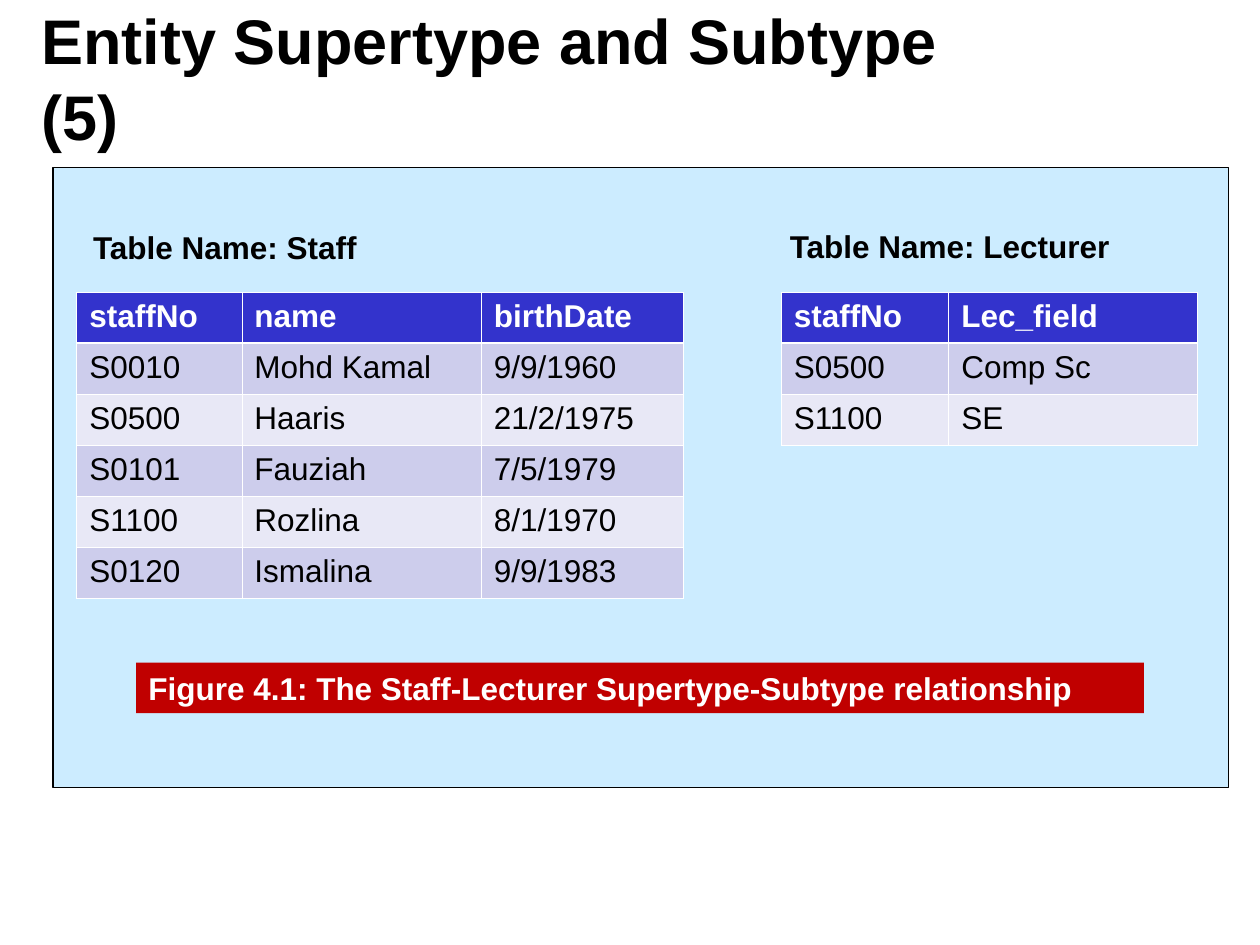
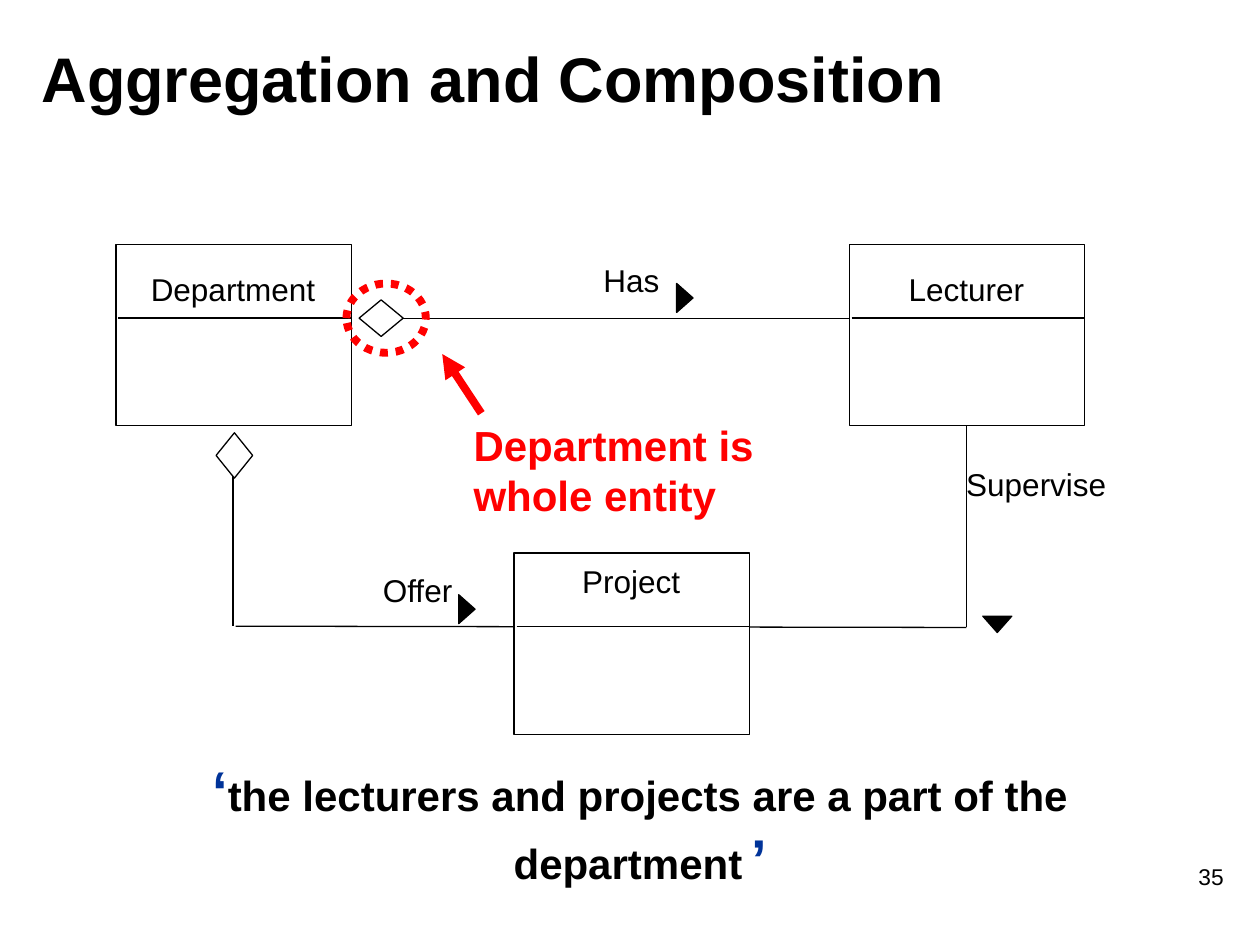
"""Build two slides on entity supertypes and on aggregation."""
import pptx
import pptx.dml.color
import pptx.enum.dml
import pptx.enum.shapes
import pptx.enum.text
import pptx.oxml
import pptx.oxml.ns
import pptx.util

Inches = pptx.util.Inches
Pt = pptx.util.Pt
RGBColor = pptx.dml.color.RGBColor
SHAPE = pptx.enum.shapes.MSO_SHAPE
ALIGN = pptx.enum.text.PP_ALIGN
ANCHOR = pptx.enum.text.MSO_ANCHOR

FONT = "Arial"
BLACK = RGBColor(0x00, 0x00, 0x00)
WHITE = RGBColor(0xFF, 0xFF, 0xFF)
SKY = RGBColor(0xCC, 0xEC, 0xFF)
BRICK = RGBColor(0xC0, 0x00, 0x00)
RED = RGBColor(0xFF, 0x00, 0x00)
NAVY = RGBColor(0x00, 0x33, 0x99)
HEADER = RGBColor(0x33, 0x33, 0xCC)
BANDS = (RGBColor(0xCD, 0xCD, 0xEC), RGBColor(0xE8, 0xE8, 0xF6))

TITLE_BOX = (0.23, 0.15, 8.03, 0.93)
ROW_HEIGHT = 0.405
TABLE_TOP = 2.32
TABLES = [
    {"caption": "Table Name: Staff", "caption_box": (0.64, 1.76, 4.75, 0.4),
     "left": 0.61, "widths": (1.31, 1.9, 1.6),
     "rows": [("staffNo", "name", "birthDate"),
              ("S0010", "Mohd Kamal", "9/9/1960"),
              ("S0500", "Haaris", "21/2/1975"),
              ("S0101", "Fauziah", "7/5/1979"),
              ("S1100", "Rozlina", "8/1/1970"),
              ("S0120", "Ismalina", "9/9/1983")]},
    {"caption": "Table Name: Lecturer", "caption_box": (6.17, 1.75, 3.33, 0.4),
     "left": 6.2, "widths": (1.33, 1.97),
     "rows": [("staffNo", "Lec_field"), ("S0500", "Comp Sc"), ("S1100", "SE")]},
]
FIGURE = "Figure 4.1: The Staff-Lecturer Supertype-Subtype relationship"

ENTITY_SIZE = (1.87, 1.44)
DIVIDER_DROP = 0.585
ENTITIES = [("Department", 0.92, 1.94, 0.15), ("Lecturer", 6.74, 1.94, 0.15),
            ("Project", 4.08, 4.39, 0.02)]
RELATION_LABELS = [("Supervise", (7.57, 3.64, 1.35, 0.36)), ("Has", (4.69, 2.02, 0.87, 0.52)),
                   ("Offer", (2.94, 4.48, 0.81, 0.45))]
RELATION_LINES = [((7.67, 3.13), (7.67, 4.98)), ((1.87, 4.97), (7.67, 4.98)),
                  ((3.16, 2.53), (6.82, 2.53)), ((1.85, 3.68), (1.85, 4.97))]
DIRECTION_MARKS = [((7.8, 4.89, 0.23, 0.13), 180), ((3.59, 4.77, 0.23, 0.13), 90),
                   ((5.32, 2.3, 0.23, 0.13), 90)]
DIAMONDS = [((2.85, 2.38, 0.35, 0.29), 0), ((1.68, 3.47, 0.36, 0.29), 90)]
QUOTE = [("‘", 32, NAVY, True), ("the lecturers and projects are a part of the department", 24, BLACK, True),
         (" ", 18, BLACK, False), ("’", 32, NAVY, True)]


def inches(values):
    return [Inches(v) for v in values]


def style(font, size, color, bold=False):
    font.name, font.size, font.bold = FONT, Pt(size), bold
    font.color.rgb = color


def write(tf, text, size=18, color=BLACK, bold=False, align=ALIGN.LEFT, anchor=ANCHOR.TOP):
    tf.word_wrap = True
    tf.vertical_anchor = anchor
    p = tf.paragraphs[0]
    p.text, p.alignment = text, align
    style(p.font, size, color, bold)


def add_title_slide(prs, title):
    s = prs.slides.add_slide(prs.slide_layouts[5])
    sp = s.shapes.title
    sp.left, sp.top, sp.width, sp.height = inches(TITLE_BOX)
    write(sp.text_frame, title, 36, BLACK, True, anchor=ANCHOR.MIDDLE)
    sp.text_frame.auto_size = pptx.enum.text.MSO_AUTO_SIZE.NONE
    return s


def add_box(s, box, fill=None, line=None, weight=0.75, kind=SHAPE.RECTANGLE, rotation=0):
    sp = s.shapes.add_shape(kind, *inches(box))
    sp.shadow.inherit = False
    sp.rotation = rotation
    for part, color in ((sp.fill, fill), (sp.line.fill, line)):
        if color is None:
            part.background()
        else:
            part.solid()
            part.fore_color.rgb = color
    if line is not None:
        sp.line.width = Pt(weight)
    return sp


def add_text(s, box, text, **look):
    sp = s.shapes.add_textbox(*inches(box))
    write(sp.text_frame, text, **look)
    return sp


def add_line(s, start, end, color=BLACK, weight=0.75):
    cx = s.shapes.add_connector(pptx.enum.shapes.MSO_CONNECTOR.STRAIGHT, *inches(start + end))
    cx.line.color.rgb = color
    cx.line.width = Pt(weight)
    pptx.oxml.ns.qn("a:effectLst")
    cx._element.spPr.append(pptx.oxml.parse_xml(
        f"<a:effectLst {pptx.oxml.ns.nsdecls('a')}/>"))
    return cx


def border_cell(cell, row):
    heavy, thin = 1.47, 0.45
    weights = {"L": thin, "R": thin, "T": heavy if row == 1 else thin, "B": heavy if row == 0 else thin}
    for side, weight in weights.items():
        cell._tc.get_or_add_tcPr().append(pptx.oxml.parse_xml(
            f'<a:ln{side} {pptx.oxml.ns.nsdecls("a")} w="{int(Pt(weight))}">'
            f'<a:solidFill><a:srgbClr val="{WHITE}"/></a:solidFill></a:ln{side}>'))


def add_data_table(s, left, widths, rows):
    box = (left, TABLE_TOP, sum(widths), ROW_HEIGHT * len(rows))
    table = s.shapes.add_table(len(rows), len(widths), *inches(box)).table
    for column, width in zip(table.columns, widths):
        column.width = Inches(width)
    for i, row in enumerate(rows):
        for j, text in enumerate(row):
            cell = table.cell(i, j)
            border_cell(cell, i)
            cell.fill.solid()
            cell.fill.fore_color.rgb = HEADER if i == 0 else BANDS[(i - 1) % 2]
            write(cell.text_frame, text, color=WHITE if i == 0 else BLACK, bold=i == 0)


def build_supertype_slide(prs):
    s = add_title_slide(prs, "Entity Supertype and Subtype (5)")
    add_box(s, (0.42, 1.33, 9.33, 4.92), SKY, BLACK)
    for t in TABLES:
        add_data_table(s, t["left"], t["widths"], t["rows"])
        write(add_box(s, t["caption_box"], SKY).text_frame, t["caption"], bold=True)
    write(add_box(s, (1.08, 5.26, 8, 0.4), BRICK).text_frame, FIGURE, color=WHITE, bold=True)


def add_entity(s, name, left, top, label_drop):
    width, height = ENTITY_SIZE
    add_box(s, (left, top, width, height), WHITE, BLACK)
    add_text(s, (left + 0.16, top + label_drop, 1.54, 0.37), name, align=ALIGN.CENTER)
    y = top + DIVIDER_DROP
    add_line(s, (left + 0.02, y), (left + width, y))


def build_aggregation_slide(prs):
    s = add_title_slide(prs, "Aggregation and Composition")
    add_text(s, (7.73, 6.8, 2.08, 0.5), "35", size=13, align=ALIGN.RIGHT)
    for text, box in RELATION_LABELS:
        add_text(s, box, text)
    for start, end in RELATION_LINES:
        add_line(s, start, end)
    for box, rotation in DIRECTION_MARKS:
        add_box(s, box, BLACK, BLACK, kind=SHAPE.ISOSCELES_TRIANGLE, rotation=rotation)
    for box, rotation in DIAMONDS:
        add_box(s, box, WHITE, BLACK, kind=SHAPE.FLOWCHART_DECISION, rotation=rotation)
    for entity in ENTITIES:
        add_entity(s, *entity)

    ring = add_box(s, (2.75, 2.25, 0.63, 0.55), None, RED, 4.5, SHAPE.OVAL)
    ring.line.dash_style = pptx.enum.dml.MSO_LINE.ROUND_DOT
    add_text(s, (3.66, 3.28, 2.91, 0.9), "Department is whole entity", size=24, color=RED, bold=True)
    arrow = add_line(s, (3.82, 3.28), (3.51, 2.81), RED, 4.5)
    arrow.line._get_or_add_ln().append(pptx.oxml.parse_xml(
        f'<a:tailEnd {pptx.oxml.ns.nsdecls("a")} type="triangle"/>'))

    tf = s.shapes.add_textbox(*inches((1.14, 5.95, 7.88, 1.17))).text_frame
    tf.word_wrap = True
    p = tf.paragraphs[0]
    p.alignment = ALIGN.CENTER
    for text, size, color, bold in QUOTE:
        r = p.add_run()
        r.text = text
        style(r.font, size, color, bold)


def main():
    prs = pptx.Presentation()
    prs.slide_width, prs.slide_height = Inches(10), Inches(7.5)
    build_supertype_slide(prs)
    build_aggregation_slide(prs)
    prs.save("out.pptx")


if __name__ == "__main__":
    main()
